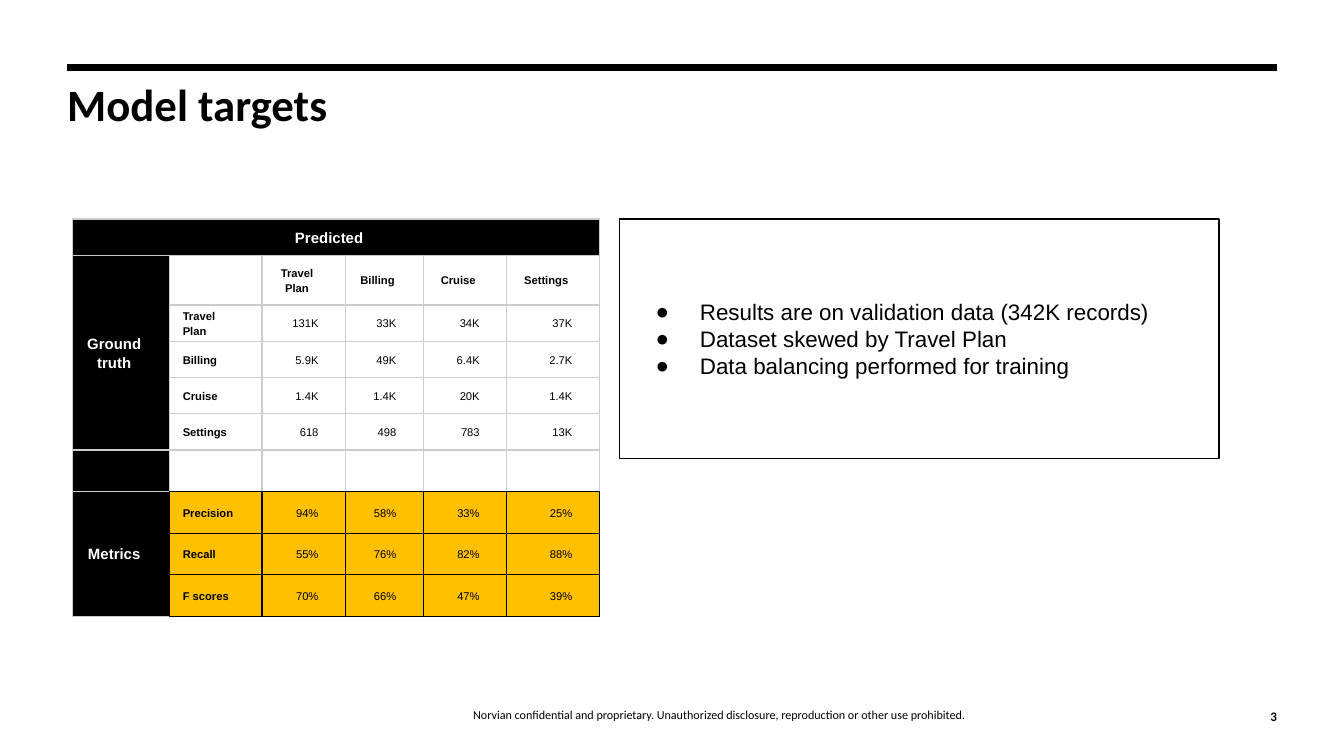
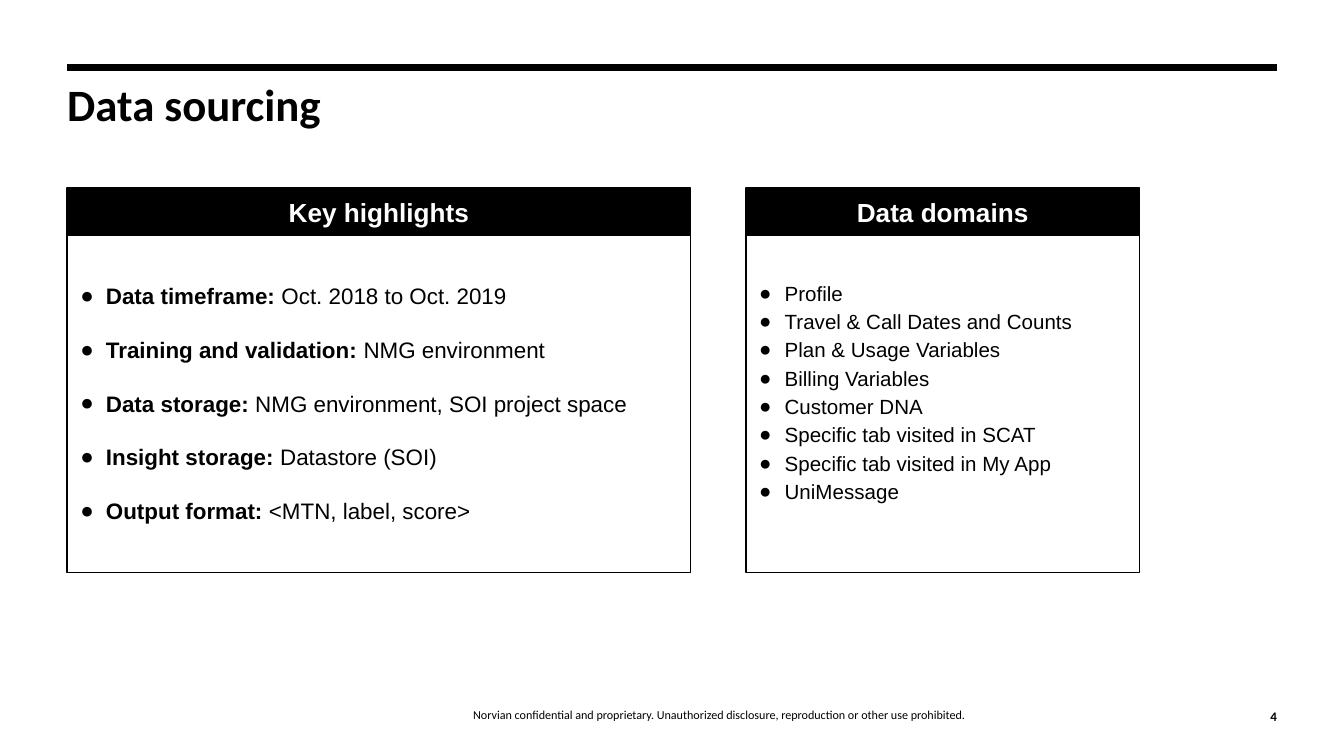
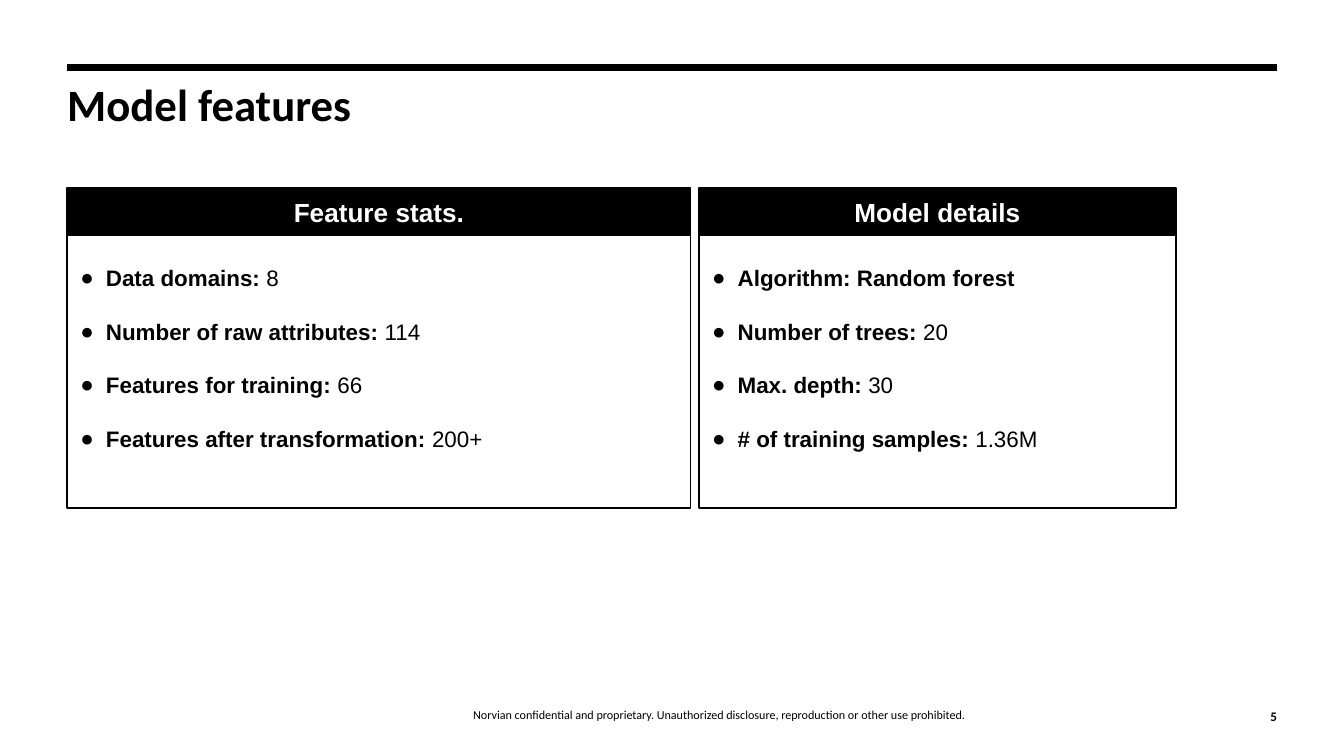
from dataclasses import dataclass

from lxml import etree
from pptx import Presentation
from pptx.dml.color import RGBColor
from pptx.enum import shapes, text
from pptx.oxml import ns
from pptx.util import Inches, Pt


@dataclass(frozen=True)
class Theme:
    black: str = "000000"
    white: str = "FFFFFF"
    grid: str = "CCCCCC"
    accent: str = "FFC000"
    heading_font: str = "Calibri"
    body_font: str = "Arial"
    title: float = 24
    card_title: float = 14
    body: float = 12
    compact: float = 11
    table_head: float = 8
    table: float = 6
    footer: float = 6.5
    page: float = 7
    thin: float = 0.75
    rule: float = 3.75


T = Theme()
LEFT, CENTER, RIGHT = text.PP_ALIGN.LEFT, text.PP_ALIGN.CENTER, text.PP_ALIGN.RIGHT
TOP, MIDDLE, BOTTOM = text.MSO_ANCHOR.TOP, text.MSO_ANCHOR.MIDDLE, text.MSO_ANCHOR.BOTTOM

FOOTER = ("Norvian confidential and proprietary. Unauthorized disclosure, "
          "reproduction or other use prohibited.")

COLUMNS = [0.72, 0.69, 0.62, 0.58, 0.62, 0.69]
ROWS = [0.27, 0.37] + [0.27] * 4 + [0.31] * 4
CLASSES = ["Travel Plan", "Billing", "Cruise", "Settings"]
COUNTS = [
    ["131K", "33K", "34K", "37K"],
    ["5.9K", "49K", "6.4K", "2.7K"],
    ["1.4K", "1.4K", "20K", "1.4K"],
    ["618", "498", "783", "13K"],
]
METRICS = [
    ["Precision", "94%", "58%", "33%", "25%"],
    ["Recall", "55%", "76%", "82%", "88%"],
    ["F scores", "70%", "66%", "47%", "39%"],
]
METRICS_ROW = 7

RESULTS = [
    "Results are on validation data (342K records)",
    "Dataset skewed by Travel Plan",
    "Data balancing performed for training",
]
HIGHLIGHTS = [
    ("Data timeframe:", " Oct. 2018 to Oct. 2019"),
    ("Training and validation:", " NMG environment"),
    ("Data storage:", " NMG environment, SOI project space"),
    ("Insight storage:", " Datastore (SOI)"),
    ("Output format:", " <MTN, label, score>"),
]
DOMAINS = [
    "Profile",
    "Travel & Call Dates and Counts",
    "Plan & Usage Variables",
    "Billing Variables",
    "Customer DNA",
    "Specific tab visited in SCAT",
    "Specific tab visited in My App",
    "UniMessage",
]
FEATURES = [
    ("Data domains:", " 8"),
    ("Number of raw attributes:", " 114"),
    ("Features for training:", " 66"),
    ("Features after transformation:", " 200+"),
]
DETAILS = [
    ("Algorithm: Random forest",),
    ("Number of trees:", " 20"),
    ("Max. depth:", " 30"),
    ("# of training samples:", " 1.36M"),
]


def rgb(color):
    return RGBColor.from_string(color)


def add_bullet(p, margin, hanging):
    pPr = p._p.get_or_add_pPr()
    pPr.set("marL", str(Inches(margin)))
    pPr.set("indent", str(-Inches(hanging)))
    buClr = etree.SubElement(pPr, ns.qn("a:buClr"))
    etree.SubElement(buClr, ns.qn("a:srgbClr"), val=T.black)
    etree.SubElement(pPr, ns.qn("a:buFont"), typeface=T.body_font)
    etree.SubElement(pPr, ns.qn("a:buChar"), char="●")


def write(tf, lines, *, size, font=T.body_font, color=T.black, bold=False,
          align=LEFT, spacing=None, gap=0, bullet=None):
    tf.word_wrap = True
    for i, line in enumerate(lines):
        p = tf.paragraphs[0] if i == 0 else tf.add_paragraph()
        p.alignment = align
        if spacing:
            p.line_spacing = spacing
        if gap and i:
            p.space_before = Pt(gap)
        if bullet:
            add_bullet(p, *bullet)
        parts = [(line, bold)] if isinstance(line, str) else zip(line, (True, False))
        for content, strong in parts:
            r = p.add_run()
            r.text = content
            r.font.size = Pt(size)
            r.font.name = font
            r.font.bold = strong
            r.font.color.rgb = rgb(color)


def set_insets(target, left, top, right, bottom):
    target.margin_left, target.margin_top = Inches(left), Inches(top)
    target.margin_right, target.margin_bottom = Inches(right), Inches(bottom)


def add_label(s, box, content, anchor=TOP, **fmt):
    tf = s.shapes.add_textbox(*map(Inches, box)).text_frame
    set_insets(tf, 0, 0, 0, 0)
    tf.vertical_anchor = anchor
    write(tf, [content], font=T.heading_font, **fmt)


def add_panel(s, box, lines, fill=None, bottom=0.1, **fmt):
    sp = s.shapes.add_shape(shapes.MSO_SHAPE.RECTANGLE, *map(Inches, box))
    sp.shadow.inherit = False
    if fill:
        sp.fill.solid()
        sp.fill.fore_color.rgb = rgb(fill)
    else:
        sp.fill.background()
    sp.line.color.rgb = rgb(T.black)
    sp.line.width = Pt(T.thin)
    tf = sp.text_frame
    set_insets(tf, 0.1, 0.1, 0.1, bottom)
    tf.vertical_anchor = MIDDLE
    write(tf, lines, **fmt)


def add_card(s, box, title, lines, *, size=T.body, gap=14.4, bullet=(0.19, 0.21), **fmt):
    left, top, width, height = box
    head = 0.35
    add_panel(s, (left, top + head - 0.01, width, height - head + 0.01), lines,
              size=size, gap=gap, bullet=bullet, **fmt)
    add_panel(s, (left, top, width, head), [title], fill=T.black, size=T.card_title,
              color=T.white, bold=True, align=CENTER)


def add_base_slide(prs, title, number):
    s = prs.slides.add_slide(prs.slide_layouts[6])
    add_label(s, (1.46, 5.04, 7.79, 0.33), FOOTER, BOTTOM, size=T.footer,
              align=CENTER, spacing=1.14)
    rule = s.shapes.add_connector(shapes.MSO_CONNECTOR.STRAIGHT, Inches(0.5), Inches(0.5),
                                  Inches(9.5), Inches(0.5))
    rule.line.color.rgb = rgb(T.black)
    rule.line.width = Pt(T.rule)
    etree.SubElement(rule._element.spPr, ns.qn("a:effectLst"))
    add_label(s, (0.5, 0.65, 7.75, 0.75), title, size=T.title, bold=True, spacing=0.8)
    add_label(s, (9.25, 5.14, 0.25, 0.25), str(number), BOTTOM, size=T.page,
              bold=True, align=RIGHT)
    return s


def set_borders(cell, **colors):
    tcPr = cell._tc.get_or_add_tcPr()
    for side in "LRTB":
        ln = etree.SubElement(tcPr, ns.qn(f"a:ln{side}"), w=str(Pt(T.thin)))
        fill = etree.SubElement(ln, ns.qn("a:solidFill"))
        etree.SubElement(fill, ns.qn("a:srgbClr"), val=colors.get(side, T.grid))


def style_cell(cell, row, col):
    set_insets(cell, 0.1, 0, 0.2, 0)
    cell.vertical_anchor = MIDDLE
    metric = row >= METRICS_ROW
    if metric and col:
        set_borders(cell, **dict.fromkeys("LRTB", T.black))
    elif metric:
        set_borders(cell, R=T.black)
    elif row == METRICS_ROW - 1 and col:
        set_borders(cell, B=T.black)
    else:
        set_borders(cell)
    if row == 0 or col == 0:
        cell.fill.solid()
        cell.fill.fore_color.rgb = rgb(T.black)
    elif metric:
        cell.fill.solid()
        cell.fill.fore_color.rgb = rgb(T.accent)
    else:
        cell.fill.background()


def add_confusion_table(s, left, top):
    frame = s.shapes.add_table(len(ROWS), len(COLUMNS), Inches(left), Inches(top),
                               Inches(sum(COLUMNS)), Inches(sum(ROWS)))
    table = frame.table
    table.first_row = table.horz_banding = False
    for column, width in zip(table.columns, COLUMNS):
        column.width = Inches(width)
    for row, height in zip(table.rows, ROWS):
        row.height = Inches(height)
    for row in range(len(ROWS)):
        for col in range(len(COLUMNS)):
            style_cell(table.cell(row, col), row, col)

    for first, last, title, spacing in (
        ((0, 0), (0, 5), "Predicted", 1.15),
        ((1, 0), (5, 0), "Ground truth", 1.15),
        ((METRICS_ROW, 0), (9, 0), "Metrics", None),
    ):
        cell = table.cell(*first)
        cell.merge(table.cell(*last))
        write(cell.text_frame, [title], size=T.table_head, color=T.white, bold=True,
              align=CENTER, spacing=spacing)

    for col, name in enumerate(CLASSES, 2):
        write(table.cell(1, col).text_frame, [name], size=T.table, bold=True,
              align=CENTER, spacing=1.15)
    counts = [[name, *values] for name, values in zip(CLASSES, COUNTS)]
    for start, block in ((2, counts), (METRICS_ROW, METRICS)):
        for row, values in enumerate(block, start):
            for col, value in enumerate(values, 1):
                write(table.cell(row, col).text_frame, [value], size=T.table,
                      bold=col == 1, align=LEFT if col == 1 else RIGHT, spacing=1.15)


def add_targets_slide(prs):
    s = add_base_slide(prs, "Model targets", 3)
    add_confusion_table(s, 0.54, 1.63)
    add_panel(s, (4.61, 1.63, 4.46, 1.78), RESULTS, size=T.body, bullet=(0.5, 0.33))


def add_sourcing_slide(prs):
    s = add_base_slide(prs, "Data sourcing", 4)
    add_card(s, (5.55, 1.4, 2.93, 2.86), "Data domains", DOMAINS, fill=T.white,
             size=T.compact, gap=0, bullet=(0.19, 0.2), spacing=1.15, bottom=0.29)
    add_card(s, (0.5, 1.4, 4.64, 2.86), "Key highlights", HIGHLIGHTS)


def add_features_slide(prs):
    s = add_base_slide(prs, "Model features", 5)
    add_card(s, (0.5, 1.4, 4.64, 2.38), "Feature stats.", FEATURES, bottom=0.29)
    add_card(s, (5.2, 1.4, 3.55, 2.38), "Model details", DETAILS, bottom=0.29)


def main():
    prs = Presentation()
    prs.slide_width = Inches(10)
    prs.slide_height = prs.slide_width * 9 // 16
    add_targets_slide(prs)
    add_sourcing_slide(prs)
    add_features_slide(prs)
    prs.save("out.pptx")


if __name__ == "__main__":
    main()
